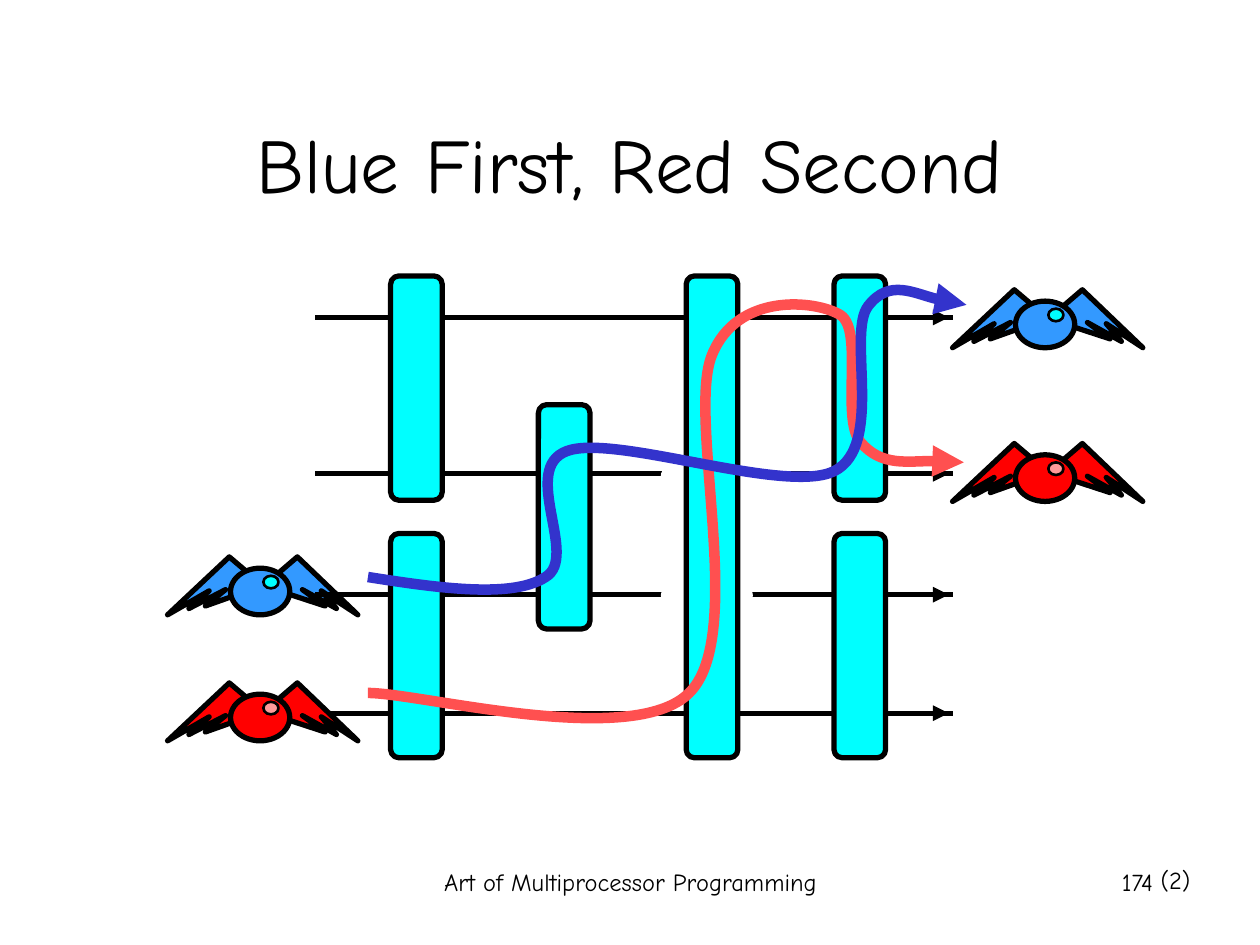
from dataclasses import dataclass

import pptx
import pptx.dml.color
import pptx.enum.shapes
import pptx.enum.text
import pptx.oxml.ns
import pptx.util
from lxml import etree

SHAPE = pptx.enum.shapes.MSO_SHAPE
ALIGN = pptx.enum.text.PP_ALIGN
Point = tuple[float, float]


@dataclass(frozen=True)
class Theme:
    font: str = "Comic Neue"
    title_size: int = 44
    note_size: int = 14
    ink: str = "000000"
    paper: str = "FFFFFF"
    balancer: str = "00FFFF"
    blue: str = "3399FF"
    blue_eye: str = "00FFFF"
    blue_path: str = "3333CC"
    red: str = "FF0000"
    red_eye: str = "FF9999"
    red_path: str = "FF5050"
    line: float = 3
    thin: float = 1.5
    hairline: float = 0.75
    path_line: float = 6


@dataclass(frozen=True)
class Bird:
    col: float
    row: float
    body: str
    eye: str


@dataclass(frozen=True)
class Balancer:
    column: int
    step: int
    steps_tall: int = 0


@dataclass(frozen=True)
class Note:
    text: str
    box: tuple[float, float, float, float]
    align: ALIGN


T = Theme()

# The slide is a grid of 10 columns by 7.5 rows of square cells
COLS, ROWS = 10, 7.5
CELL = pptx.util.Inches(1)

WIRE_ROWS = (2.52, 3.76, 4.72, 5.66)
GAP_TOPS = (3.63, 4.58)

# Balancers: column and half-height step on their own grid
BAR_LEFT, BAR_TOP, BAR_PITCH, BAR_STEP = 3.1, 2.19, 1.173, 1.022
BAR_WIDTH, BAR_HEIGHT = 0.41, 1.78
BALANCERS = (Balancer(0, 2), Balancer(0, 0), Balancer(1, 1), Balancer(3, 2),
             Balancer(3, 0), Balancer(2, 0, 2))

# Bird outline, relative to its top-left corner
RIGHT_WING = ((0.82, 0.18), (1.03, 0), (1.51, 0.46), (1.22, 0.27), (1.34, 0.41),
              (1.07, 0.26), (1.25, 0.39), (0.76, 0.23))
LEFT_WING = ((0.69, 0.17), (0.49, 0), (0, 0.46), (0.33, 0.27), (0.17, 0.41),
             (0.46, 0.26), (0.3, 0.39), (0.75, 0.23))
BIRDS = (Bird(1.33, 4.42, T.blue, T.blue_eye), Bird(1.33, 5.42, T.red, T.red_eye),
         Bird(7.56, 2.3, T.blue, T.blue_eye), Bird(7.56, 3.52, T.red, T.red_eye))

# Bezier routes: a start, then three points for each curve
RED_ROUTE = ((2.92, 5.5), (3.34, 5.5), (5.02, 5.95), (5.47, 5.5),
             (5.93, 5.05), (5.45, 3.32), (5.65, 2.82),
             (5.85, 2.32), (6.47, 2.38), (6.67, 2.5),
             (6.86, 2.62), (6.67, 3.32), (6.83, 3.51),
             (7, 3.71), (7.48, 3.64), (7.65, 3.67))
BLUE_ROUTE = ((2.92, 4.58), (3.49, 4.67), (4.07, 4.75), (4.33, 4.58),
              (4.6, 4.42), (4.12, 3.72), (4.5, 3.58),
              (4.88, 3.44), (6.23, 3.93), (6.62, 3.74),
              (7.02, 3.54), (6.72, 2.65), (6.89, 2.43),
              (7.06, 2.21), (7.51, 2.42), (7.67, 2.42))

NOTES = (Note("(2)", (8.93, 6.82, 0.8, 0.34), ALIGN.CENTER),
         Note("Art of Multiprocessor Programming", (3.42, 6.83, 3.17, 0.5), ALIGN.CENTER),
         Note("174", (7.17, 6.83, 2.08, 0.5), ALIGN.RIGHT))


def cells(*values: float) -> list[int]:
    return [round(v * CELL) for v in values]


def rgb(color: str) -> pptx.dml.color.RGBColor:
    return pptx.dml.color.RGBColor.from_string(color)


def set_line(sp, color: str, width: float) -> None:
    sp.line.color.rgb = rgb(color)
    sp.line.width = pptx.util.Pt(width)


def paint(sp, fill: str, line: str = T.ink, width: float = T.line) -> None:
    sp.shadow.inherit = False
    sp.fill.solid()
    sp.fill.fore_color.rgb = rgb(fill)
    set_line(sp, line, width)


def add_arrowhead(sp) -> None:
    etree.SubElement(sp.line._get_or_add_ln(), pptx.oxml.ns.qn("a:tailEnd"), type="triangle")


def add_outline(shapes, points: list[Point], close: bool):
    pts = [cells(*pt) for pt in points]
    builder = shapes.build_freeform(*pts[0], scale=1.0)
    builder.add_line_segments(pts[1:], close=close)
    return builder.convert_to_shape()


def add_wire(shapes, start: float, end: float, row: float, arrow: bool = False) -> None:
    sp = shapes.add_connector(pptx.enum.shapes.MSO_CONNECTOR.STRAIGHT,
                              *cells(start, row, end, row))
    set_line(sp, T.ink, T.line)
    if arrow:
        add_arrowhead(sp)
    etree.SubElement(sp._element.spPr, pptx.oxml.ns.qn("a:effectLst"))


def add_bird(shapes, bird: Bird) -> None:
    group = shapes.add_group_shape().shapes
    for wing in (RIGHT_WING, LEFT_WING):
        points = [(bird.col + x, bird.row + y) for x, y in wing]
        paint(add_outline(group, points, close=True), bird.body)
    body = group.add_shape(SHAPE.OVAL, *cells(bird.col + 0.5, bird.row + 0.09, 0.47, 0.37))
    paint(body, bird.body)
    eye = group.add_shape(SHAPE.OVAL, *cells(bird.col + 0.76, bird.row + 0.15, 0.12, 0.1))
    paint(eye, bird.eye, width=T.thin)


def add_balancer(shapes, bar: Balancer) -> None:
    sp = shapes.add_shape(SHAPE.ROUNDED_RECTANGLE, *cells(
        BAR_LEFT + bar.column * BAR_PITCH, BAR_TOP + bar.step * BAR_STEP,
        BAR_WIDTH, BAR_HEIGHT + bar.steps_tall * BAR_STEP))
    sp.adjustments[0] = 0.16
    paint(sp, T.balancer)


def add_route(shapes, points: tuple[Point, ...], color: str) -> None:
    sp = add_outline(shapes, points, close=False)
    # Turn each run of three line segments into one cubic curve
    path = sp._element.find(".//" + pptx.oxml.ns.qn("a:path"))
    segments = path.findall(pptx.oxml.ns.qn("a:lnTo"))
    for i in range(0, len(segments), 3):
        curve = etree.SubElement(path, pptx.oxml.ns.qn("a:cubicBezTo"))
        for segment in segments[i:i + 3]:
            curve.append(segment[0])
            path.remove(segment)
    sp.shadow.inherit = False
    sp.fill.background()
    set_line(sp, color, T.path_line)
    add_arrowhead(sp)


def add_text(sp, text: str, size: int, align: ALIGN) -> None:
    tf = sp.text_frame
    tf.word_wrap = True
    p = tf.paragraphs[0]
    p.alignment = align
    r = p.add_run()
    r.text = text
    r.font.name = T.font
    r.font.size = pptx.util.Pt(size)
    r.font.color.rgb = rgb(T.ink)


def main() -> None:
    prs = pptx.Presentation()
    prs.slide_width, prs.slide_height = cells(COLS, ROWS)
    slide = prs.slides.add_slide(prs.slide_layouts[5])
    shapes = slide.shapes

    # Title
    title = shapes.title
    title.left, title.top, title.width, title.height = cells(0.75, 0.67, 8.5, 1.25)
    title.text_frame.vertical_anchor = pptx.enum.text.MSO_ANCHOR.MIDDLE
    add_text(title, "Blue First, Red Second", T.title_size, ALIGN.CENTER)

    # Wires and birds; the inner wires run over the birds
    for row in WIRE_ROWS:
        add_wire(shapes, 2.54, 7.53, row, arrow=True)
    for row in (WIRE_ROWS[0], WIRE_ROWS[-1]):
        add_wire(shapes, 2.5, 7.56, row)
    for bird in BIRDS:
        add_bird(shapes, bird)
    for row in WIRE_ROWS[1:-1]:
        add_wire(shapes, 2.5, 7.56, row)

    # Gaps where the inner wires pass behind the tall balancer
    for top in GAP_TOPS:
        gap = shapes.add_shape(SHAPE.OVAL, *cells(5.25, top, 0.72, 0.29))
        paint(gap, T.paper, T.paper, T.hairline)

    # Balancers and the two routes
    for bar in BALANCERS:
        add_balancer(shapes, bar)
    add_route(shapes, RED_ROUTE, T.red_path)
    add_route(shapes, BLUE_ROUTE, T.blue_path)

    # Footer
    for note in NOTES:
        add_text(shapes.add_textbox(*cells(*note.box)), note.text, T.note_size, note.align)

    prs.save("out.pptx")


if __name__ == "__main__":
    main()
